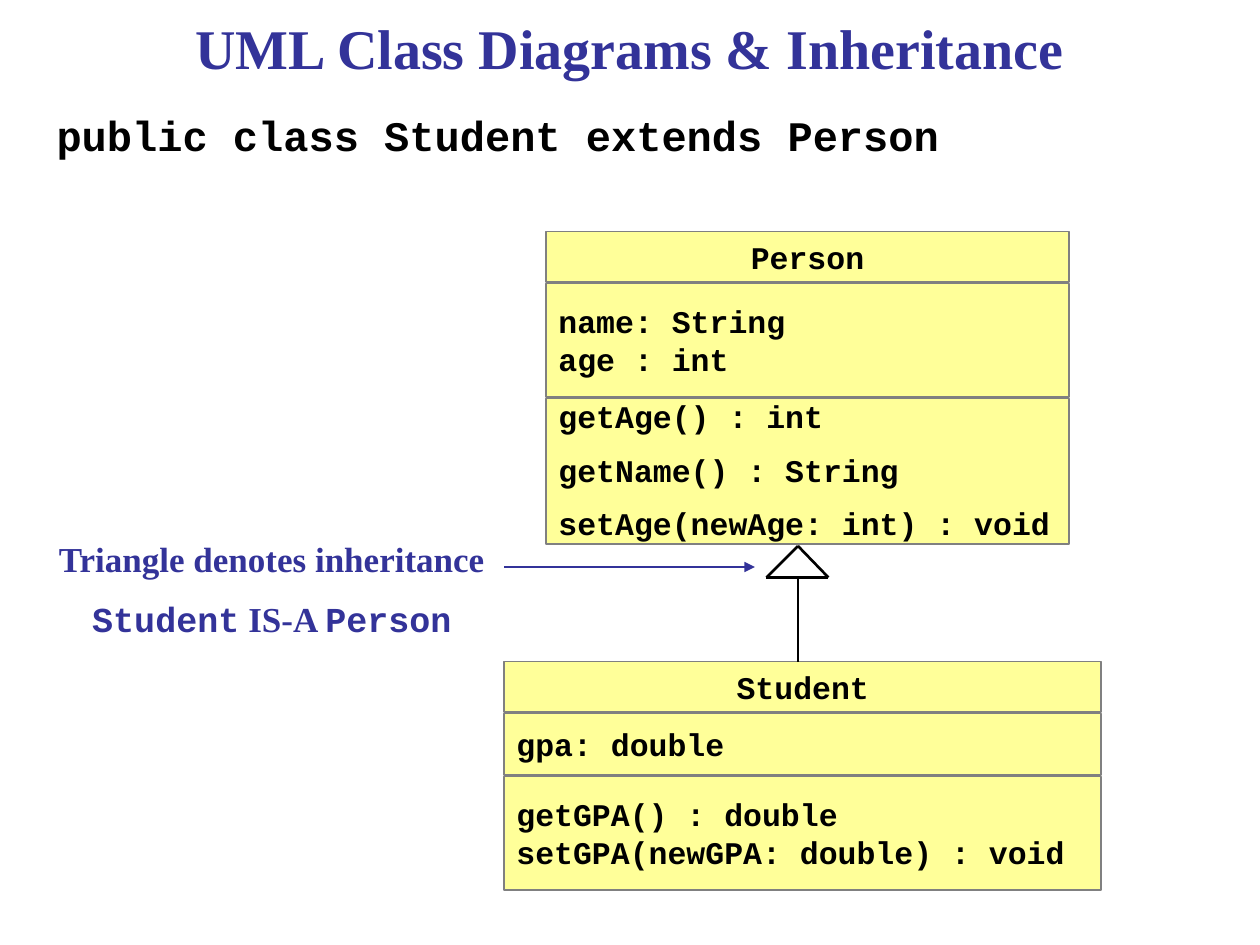
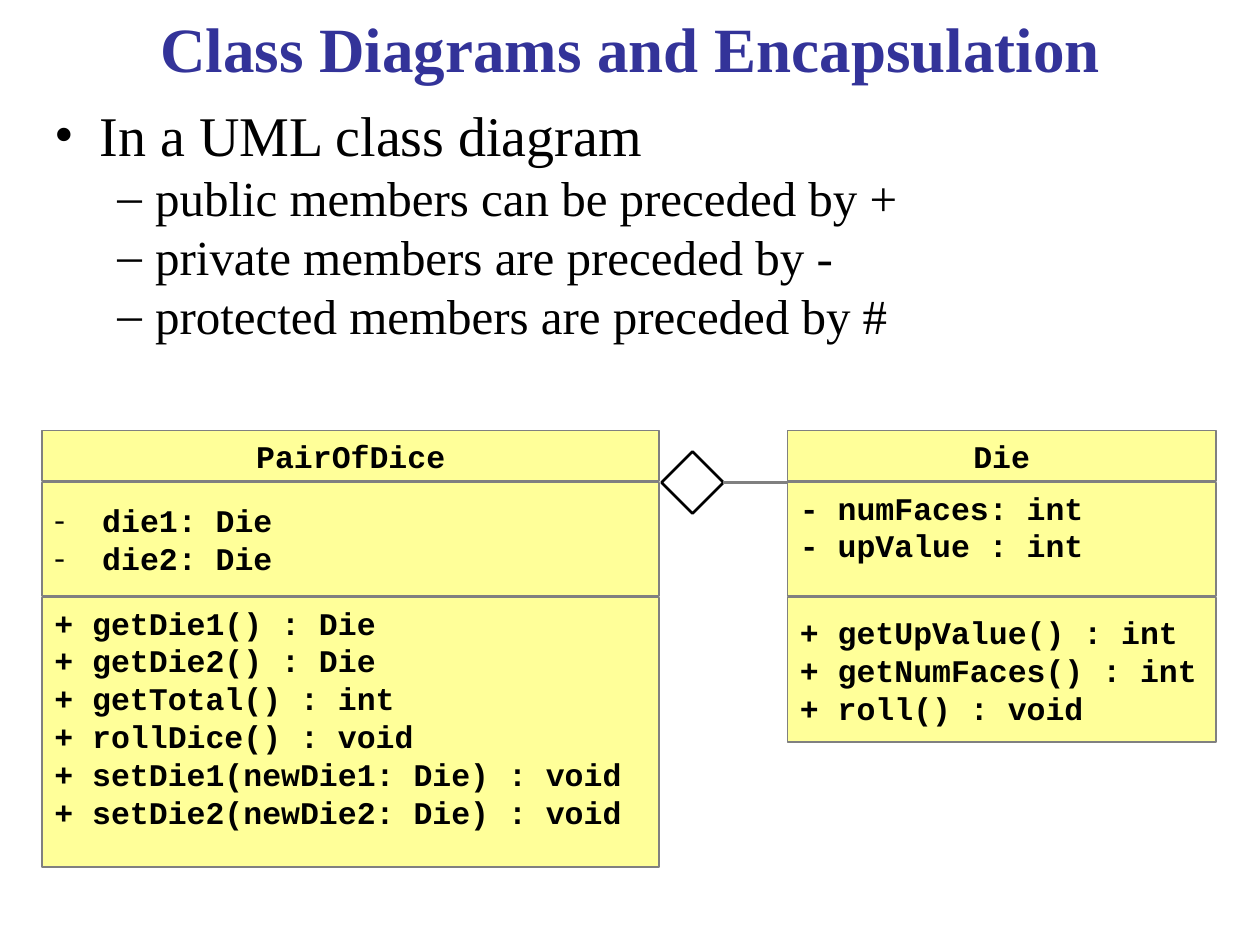
"""Build two slides on UML class diagrams: inheritance and encapsulation."""
import pptx
import pptx.dml.color
import pptx.enum.dml
import pptx.enum.shapes
import pptx.enum.text
import pptx.oxml
import pptx.oxml.ns
import pptx.util

COLORS = {"title": "333399", "ink": "000000", "box": "FFFF99", "border": "808080"}
SERIF, MONO = "Times New Roman", "Courier New"
COLUMNS, ROWS = 120, 90
LINE_HEIGHT = 1.2
COMPARTMENT_GAP = 0.15
HEADER_ROWS = 4.8

CENTER = pptx.enum.text.PP_ALIGN.CENTER
LEFT = pptx.enum.text.PP_ALIGN.LEFT
TOP = pptx.enum.text.MSO_ANCHOR.TOP
MIDDLE = pptx.enum.text.MSO_ANCHOR.MIDDLE
SHAPES = pptx.enum.shapes.MSO_SHAPE

TITLE = {"name": SERIF, "size": 32, "bold": True, "color": "title"}
CODE = {"name": MONO, "size": 18, "bold": True, "color": "ink"}
NOTE = {"name": SERIF, "size": 20, "bold": True, "color": "title"}
BULLET = {"name": SERIF, "size": 32, "bold": False, "color": "ink"}


class Deck:
    """Hold the shared style and the current slide."""

    def __init__(self):
        self.presentation = pptx.Presentation()
        self.presentation.slide_width = pptx.util.Inches(10)
        self.presentation.slide_height = pptx.util.Inches(7.5)
        self.slide = None

    def x(self, columns):
        return round(self.presentation.slide_width * columns / COLUMNS)

    def y(self, rows):
        return round(self.presentation.slide_height * rows / ROWS)

    def frame(self, left, top, width, height):
        return self.x(left), self.y(top), self.x(width), self.y(height)

    def color(self, name):
        return pptx.dml.color.RGBColor.from_string(COLORS[name])

    def add_slide(self, title, size):
        self.slide = self.presentation.slides.add_slide(self.presentation.slide_layouts[6])
        self.text_box((4, 0, 112, 9), [title], TITLE | {"size": size}, align=CENTER, anchor=MIDDLE)

    def text_box(self, area, lines, style, **layout):
        shape = self.slide.shapes.add_textbox(*self.frame(*area))
        self.set_text(shape, lines, style, **layout)

    def set_text(self, shape, lines, style, align=LEFT, anchor=TOP, leading=1, before=0, bullets=()):
        frame = shape.text_frame
        settings = {
            "word_wrap": True,
            "vertical_anchor": anchor,
            "margin_left": pptx.util.Inches(0.1),
            "margin_right": pptx.util.Inches(0.1),
            "margin_top": pptx.util.Inches(0.05),
            "margin_bottom": pptx.util.Inches(0.05),
        }
        for name, value in settings.items():
            setattr(frame, name, value)
        for index, line in enumerate(lines):
            paragraph = frame.add_paragraph() if index else frame.paragraphs[0]
            pieces = line if isinstance(line, list) else [(line, {})]
            if bullets:
                self.bullet(paragraph, **bullets[index])
            size = (style | pieces[0][1])["size"]
            paragraph.alignment = align
            paragraph.line_spacing = pptx.util.Pt(round(size * LINE_HEIGHT * leading, 2))
            paragraph.space_before = pptx.util.Pt(before if index else 0)
            for text, changes in pieces:
                self.run(paragraph, text, style | changes)

    def run(self, paragraph, text, style):
        run = paragraph.add_run()
        run.text = text
        values = {"name": style["name"], "size": pptx.util.Pt(style["size"]), "bold": style["bold"]}
        for name, value in values.items():
            setattr(run.font, name, value)
        run.font.color.rgb = self.color(style["color"])

    def bullet(self, paragraph, mark, left, hanging, level=0):
        paragraph.level = level
        properties = paragraph._p.get_or_add_pPr()
        properties.set("marL", str(pptx.util.Inches(left)))
        properties.set("indent", str(-pptx.util.Inches(hanging)))
        namespace = pptx.oxml.ns.nsdecls("a")
        for xml in (
            f'<a:buClr {namespace}><a:srgbClr val="{COLORS["ink"]}"/></a:buClr>',
            f'<a:buFont {namespace} typeface="{SERIF}"/>',
            f'<a:buChar {namespace} char="{mark}"/>',
        ):
            properties.append(pptx.oxml.parse_xml(xml))

    def shape(self, kind, area, line, width, fill=None):
        shape = self.slide.shapes.add_shape(kind, *self.frame(*area))
        shape.shadow.inherit = False
        if fill:
            shape.fill.solid()
            shape.fill.fore_color.rgb = self.color(fill)
        else:
            shape.fill.background()
        shape.line.color.rgb = self.color(line)
        shape.line.width = pptx.util.Pt(width)
        return shape

    def class_box(self, left, top, width, name, *compartments):
        header = (HEADER_ROWS, [name], {"align": CENTER})
        for height, lines, layout in (header, *compartments):
            area = (left, top, width, height)
            shape = self.shape(SHAPES.RECTANGLE, area, "border", 1, "box")
            self.set_text(shape, lines, CODE, **({"anchor": MIDDLE} | layout))
            top += height + COMPARTMENT_GAP

    def line(self, start, end, color, arrow=False):
        connector = self.slide.shapes.add_connector(
            pptx.enum.shapes.MSO_CONNECTOR.STRAIGHT,
            self.x(start[0]), self.y(start[1]), self.x(end[0]), self.y(end[1]),
        )
        connector.line.color.rgb = self.color(color)
        connector.line.width = pptx.util.Pt(1.5)
        namespace = pptx.oxml.ns.nsdecls("a")
        if arrow:
            outline = connector.line._get_or_add_ln()
            outline.append(pptx.oxml.parse_xml(f'<a:tailEnd {namespace} type="triangle"/>'))
        connector._element.spPr.append(pptx.oxml.parse_xml(f"<a:effectLst {namespace}/>"))
        return connector


def inheritance(deck):
    deck.add_slide("UML Class Diagrams & Inheritance", 32)
    deck.text_box((4.2, 9.8, 100, 8), ["public class Student extends Person"], CODE | {"size": 24})
    deck.class_box(
        52, 22.05, 49.8, "Person",
        (10.8, ["name: String", "age : int"], {}),
        (13.9, ["getAge() : int", "getName() : String", "setAge(newAge: int) : void"],
         {"leading": 0.9, "before": 11.2}),
    )
    is_a = [("Student", {"name": MONO}), (" IS-A ", {}), ("Person", {"name": MONO})]
    deck.text_box((3, 51, 45.8, 10.5), ["Triangle denotes inheritance", is_a], NOTE,
                  align=CENTER, leading=0.9, before=12.5)
    deck.line((48, 54), (71.9, 54), "title", arrow=True)
    deck.class_box(
        48, 63, 56.9, "Student",
        (5.85, ["gpa: double"], {}),
        (10.8, ["getGPA() : double", "setGPA(newGPA: double) : void"], {}),
    )
    apex, left, right, middle = (76, 52), (73, 55), (78.9, 55), (76, 55)
    for start, end in ((apex, left), (left, right), (apex, right), (middle, (76, 63))):
        deck.line(start, end, "ink")


def encapsulation(deck):
    deck.add_slide("Class Diagrams and Encapsulation", 36)
    small = {"size": 28}
    point = {"mark": "•", "left": 0.36, "hanging": 0.36}
    subpoint = {"mark": "–", "left": 0.8, "hanging": 0.3, "level": 1}
    members = ["public members can be preceded by +", "private members are preceded by -",
               "protected members are preceded by #"]
    deck.text_box(
        (4, 9, 112, 37.5),
        ["In a UML class diagram", *([(member, small)] for member in members)],
        BULLET, bullets=[point] + [subpoint] * len(members),
    )
    deck.class_box(
        75, 41, 40.8, "Die",
        (10.8, ["- numFaces: int", "- upValue : int"], {"anchor": TOP}),
        (13.8, ["+ getUpValue() : int", "+ getNumFaces() : int", "+ roll() : void"], {}),
    )
    dash = {"mark": "-", "left": 0.38, "hanging": 0.38}
    deck.class_box(
        4, 41, 58.8, "PairOfDice",
        (10.8, ["die1: Die", "die2: Die"], {"bullets": [dash] * 2}),
        (25.7, ["+ getDie1() : Die", "+ getDie2() : Die", "+ getTotal() : int",
                "+ rollDice() : void", "+ setDie1(newDie1: Die) : void",
                "+ setDie2(newDie2: Die) : void"], {"anchor": TOP}),
    )
    diamond = deck.shape(SHAPES.FLOWCHART_DECISION, (63, 43, 5.9, 5.9), "ink", 1.5)
    link = deck.line((68.9, 45.95), (75, 45.95), "border")
    link.begin_connect(diamond, 3)


def main():
    deck = Deck()
    inheritance(deck)
    encapsulation(deck)
    deck.presentation.save("out.pptx")


if __name__ == "__main__":
    main()
